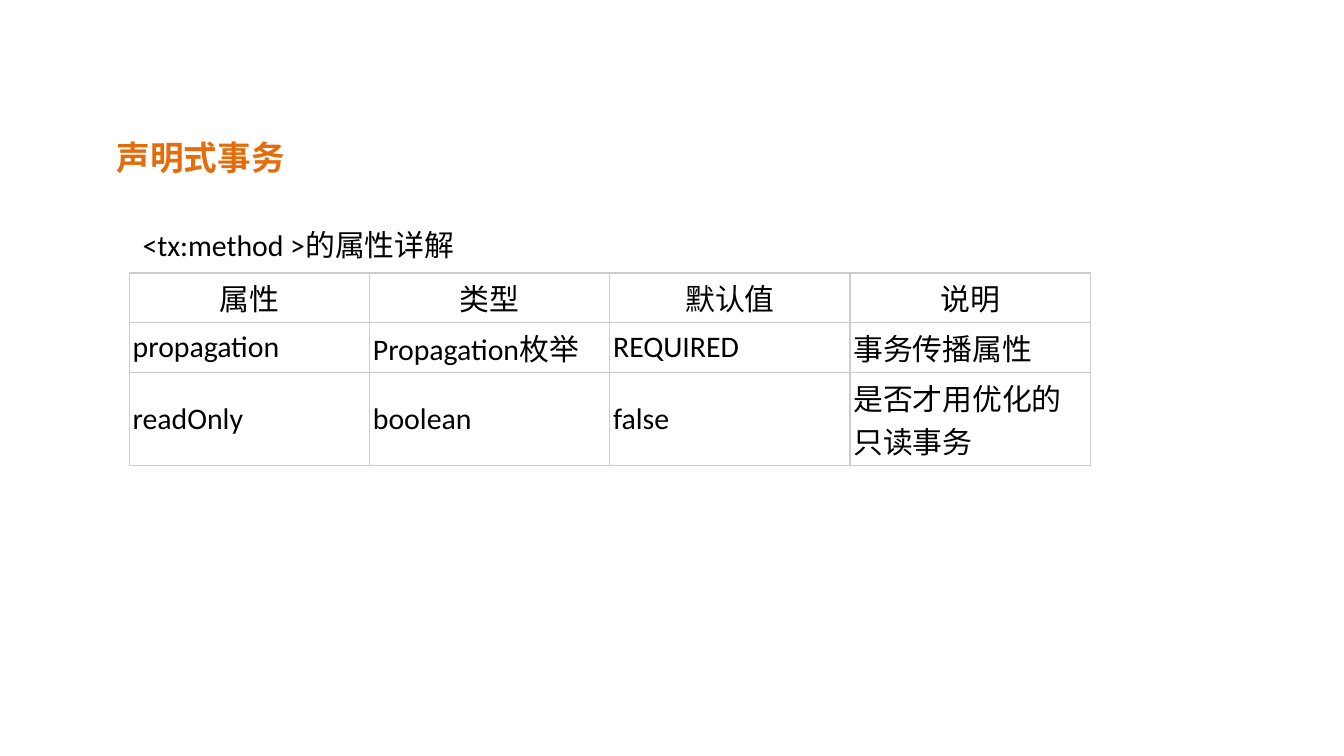
"""Build a slide that explains the attributes of a transaction method tag."""
from dataclasses import dataclass

from lxml.etree import SubElement
from pptx import Presentation
from pptx.dml.color import RGBColor
from pptx.enum.text import MSO_ANCHOR as Anchor, MSO_AUTO_SIZE as AutoSize, PP_ALIGN as Align
from pptx.oxml import parse_xml
from pptx.oxml.ns import nsdecls, qn
from pptx.slide import Slide
from pptx.table import _Cell as Cell
from pptx.text.text import TextFrame
from pptx.util import Emu, Pt

PX = 5715
FONT = "Calibri"
COLORS = {"title": "E46C0A", "text": "000000", "border": "CCCCCC"}
HEADERS = ("属性", "类型", "默认值", "说明")
ATTRIBUTES = (
    ("propagation", "Propagation枚举", "REQUIRED", "事务传播属性"),
    ("readOnly", "boolean", "false", "是否才用优化的只读事务"),
)
ROW_HEIGHTS = (50, 50, 93)
COLUMN_WIDTH = 286
CELL_MARGIN = 4


@dataclass(frozen=True)
class Box:
    left: int
    top: int
    width: int
    height: int

    def emu(self) -> tuple[Emu, ...]:
        """Give the position and size in EMU."""
        return tuple(Emu(n * PX) for n in (self.left, self.top, self.width, self.height))


@dataclass(frozen=True)
class Style:
    size: int
    color: str
    bold: bool = False
    align: Align = Align.LEFT


TITLE = Style(18, "title", bold=True)
BODY = Style(16, "text")
HEADER = Style(16, "text", align=Align.CENTER)


def write(frame: TextFrame, text: str, style: Style) -> None:
    """Write one formatted run into the first paragraph."""
    para = frame.paragraphs[0]
    para.alignment = style.align
    span = para.add_run()
    span.text = text
    span.font.name = FONT
    span.font.size = Pt(style.size)
    span.font.bold = style.bold
    span.font.color.rgb = RGBColor.from_string(COLORS[style.color])


def add_borders(cell: Cell) -> None:
    """Draw a thin line on all four sides of a cell."""
    properties = cell._tc.get_or_add_tcPr()
    for index, side in enumerate(("lnL", "lnR", "lnT", "lnB")):
        line = parse_xml(f'<a:{side} {nsdecls("a")} w="{Pt(0.75)}"/>')
        fill = SubElement(line, qn("a:solidFill"))
        SubElement(fill, qn("a:srgbClr"), val=COLORS["border"])
        properties.insert(index, line)


def fill_cell(cell: Cell, text: str, style: Style) -> None:
    """Format a cell and write its text."""
    cell.fill.background()
    cell.vertical_anchor = Anchor.MIDDLE
    cell.margin_left = cell.margin_right = Emu(CELL_MARGIN * PX)
    cell.margin_top = cell.margin_bottom = Emu(CELL_MARGIN * PX)
    add_borders(cell)
    write(cell.text_frame, text, style)


def add_title(page: Slide, box: Box, text: str) -> None:
    """Move and fill the title placeholder."""
    title = page.shapes.title
    title.left, title.top, title.width, title.height = box.emu()
    title.text_frame.auto_size = AutoSize.NONE
    title.text_frame.vertical_anchor = Anchor.MIDDLE
    write(title.text_frame, text, TITLE)


def add_attribute_table(page: Slide, box: Box) -> None:
    """Add the table of attributes under its header row."""
    rows = (HEADERS, *ATTRIBUTES)
    table = page.shapes.add_table(len(rows), len(HEADERS), *box.emu()).table
    table.first_row = table.horz_banding = False
    for column in table.columns:
        column.width = Emu(COLUMN_WIDTH * PX)
    for r, (texts, height) in enumerate(zip(rows, ROW_HEIGHTS)):
        table.rows[r].height = Emu(height * PX)
        for c, text in enumerate(texts):
            fill_cell(table.cell(r, c), text, BODY if r else HEADER)


def add_caption(page: Slide, box: Box, text: str) -> None:
    """Add the line of text above the table."""
    frame = page.shapes.add_textbox(*box.emu()).text_frame
    frame.word_wrap = True
    frame.auto_size = AutoSize.SHAPE_TO_FIT_TEXT
    write(frame, text, BODY)


def main() -> None:
    """Build and save the deck."""
    deck = Presentation()
    deck.slide_width, deck.slide_height = Emu(1600 * PX), Emu(900 * PX)
    page = deck.slides.add_slide(deck.slide_layouts.get_by_name("Title Only"))
    add_title(page, Box(123, 112, 1072, 150), "声明式事务")
    add_attribute_table(page, Box(154, 325, COLUMN_WIDTH * len(HEADERS), sum(ROW_HEIGHTS)))
    add_caption(page, Box(154, 262, 622, 59), "<tx:method >的属性详解")
    deck.save("out.pptx")


if __name__ == "__main__":
    main()
